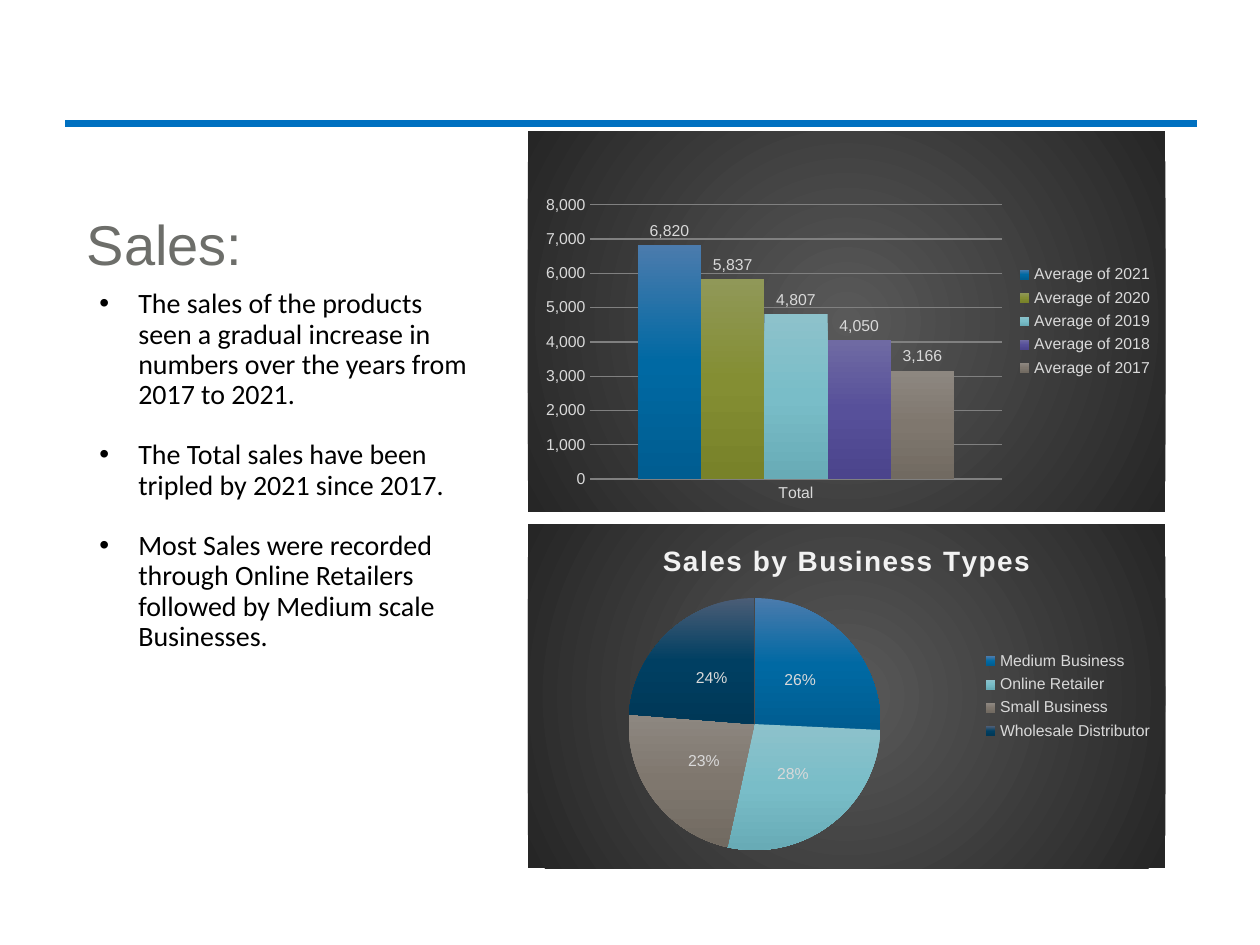
from lxml import etree
from pptx import Presentation
from pptx.chart.data import CategoryChartData
from pptx.dml.color import RGBColor
from pptx.enum.chart import XL_CHART_TYPE as ChartType
from pptx.enum.chart import XL_LABEL_POSITION as LabelPosition
from pptx.enum.chart import XL_LEGEND_POSITION as LegendPosition
from pptx.enum.chart import XL_TICK_MARK as TickMark
from pptx.enum.shapes import MSO_CONNECTOR as Connector
from pptx.enum.text import MSO_ANCHOR as Anchor
from pptx.oxml import parse_xml
from pptx.oxml.ns import nsdecls, qn
from pptx.util import Inches, Pt

RULE_BLUE = RGBColor(0x00, 0x70, 0xC0)
TITLE_GRAY = RGBColor(0x6D, 0x6E, 0x6A)
BLACK = RGBColor(0x00, 0x00, 0x00)
LABEL_GRAY = RGBColor(0xD9, 0xD9, 0xD9)
GRID_GRAY = RGBColor(0x80, 0x80, 0x80)
CHART_TITLE = RGBColor(0xF2, 0xF2, 0xF2)


def shades(*codes):
    return [RGBColor.from_string(code) for code in codes]


PANEL = shades("595959", "262626")
BLUE = shades("4B7BAD", "0069A3", "005D91")
OLIVE = shades("909858", "848E33", "788229")
TEAL = shades("8DC2CB", "79BDC8", "68ABB6")
PURPLE = shades("6F6AA3", "57509A", "4B448C")
TAUPE = shades("8D8780", "7F776E", "716A61")
NAVY = shades("4B5D76", "003F62", "003857")

YEARS = [
    ("Average of 2021", 6820, BLUE),
    ("Average of 2020", 5837, OLIVE),
    ("Average of 2019", 4807, TEAL),
    ("Average of 2018", 4050, PURPLE),
    ("Average of 2017", 3166, TAUPE),
]
BUSINESS_TYPES = [
    ("Medium Business", 26, BLUE),
    ("Online Retailer", 28, TEAL),
    ("Small Business", 23, TAUPE),
    ("Wholesale Distributor", 24, NAVY),
]
FINDINGS = [
    "The sales of the products seen a gradual increase in numbers over the years from 2017 to 2021.",
    "The Total sales have been tripled by 2021 since 2017.",
    "Most Sales were recorded through Online Retailers followed by Medium scale Businesses.",
]


def gradient(colors, radial=False):
    """Return a gradFill with evenly spaced stops, running downwards or out from the centre."""
    step = 100000 // (len(colors) - 1)
    stops = "".join(
        f'<a:gs pos="{index * step}"><a:srgbClr val="{color}"/></a:gs>'
        for index, color in enumerate(colors)
    )
    direction = '<a:lin ang="5400000" scaled="0"/>'
    if radial:
        direction = ('<a:path path="circle"><a:fillToRect l="50000" t="50000" '
                     'r="50000" b="50000"/></a:path>')
    return parse_xml(f'<a:gradFill {nsdecls("a")} rotWithShape="1">'
                     f'<a:gsLst>{stops}</a:gsLst>{direction}</a:gradFill>')


def fill_gradient(chart_format, colors):
    chart_format.fill.background()
    properties = chart_format.fill._xPr
    properties.replace(properties.find(qn("a:noFill")), gradient(colors))


def style_font(font, size, color, name="Arial"):
    font.size, font.name = Pt(size), name
    font.color.rgb = color


def place_plot(chart, left, top, width, height):
    """Fix the inner plot area, in fractions of the chart."""
    plot_area = chart._chartSpace.chart.plotArea
    for layout in plot_area.findall(qn("c:layout")):
        plot_area.remove(layout)
    plot_area.insert(0, parse_xml(
        f'<c:layout {nsdecls("c")}><c:manualLayout><c:layoutTarget val="inner"/>'
        '<c:xMode val="edge"/><c:yMode val="edge"/>'
        f'<c:x val="{left}"/><c:y val="{top}"/><c:w val="{width}"/><c:h val="{height}"/>'
        '</c:manualLayout></c:layout>'))


def add_dark_chart(page, box, kind, data):
    chart = page.shapes.add_chart(kind, *box, data).chart
    style_font(chart.font, 10, BLACK)
    panel = parse_xml(f'<c:spPr {nsdecls("c", "a")}><a:ln><a:noFill/></a:ln></c:spPr>')
    panel.insert(0, gradient(PANEL, radial=True))
    chart._chartSpace.chart.addnext(panel)
    chart.has_title = False
    chart.has_legend = True
    chart.legend.position = LegendPosition.RIGHT
    chart.legend.include_in_layout = False
    style_font(chart.legend.font, 9, LABEL_GRAY)
    plot = chart.plots[0]
    plot.has_data_labels = True
    style_font(plot.data_labels.font, 9, LABEL_GRAY)
    return chart


def add_yearly_columns(page, box):
    data = CategoryChartData(number_format="#,##0")
    data.categories = ["Total"]
    for name, value, _ in YEARS:
        data.add_series(name, [value])
    chart = add_dark_chart(page, box, ChartType.COLUMN_CLUSTERED, data)
    place_plot(chart, 0.098, 0.194, 0.645, 0.721)

    plot = chart.plots[0]
    plot.vary_by_categories = False
    plot.gap_width, plot.overlap = 150, 0
    labels = plot.data_labels
    labels.show_value = True
    labels.position = LabelPosition.OUTSIDE_END
    labels.number_format, labels.number_format_is_linked = "#,##0", False
    for series, (_, _, colors) in zip(plot.series, YEARS):
        fill_gradient(series.format, colors)

    for axis in (chart.category_axis, chart.value_axis):
        axis.major_tick_mark = axis.minor_tick_mark = TickMark.NONE
        axis.format.line.fill.background()
        style_font(axis.tick_labels.font, 9, LABEL_GRAY)
    values = chart.value_axis
    values.minimum_scale, values.maximum_scale, values.major_unit = 0, 8000, 1000
    values.tick_labels.number_format = "#,##0"
    values.tick_labels.number_format_is_linked = False
    grid = values.major_gridlines.format.line
    grid.color.rgb, grid.width = GRID_GRAY, Pt(0.75)


def add_business_pie(page, box):
    data = CategoryChartData()
    data.categories = [name for name, _, _ in BUSINESS_TYPES]
    data.add_series("Series 1", [value for _, value, _ in BUSINESS_TYPES])
    chart = add_dark_chart(page, box, ChartType.PIE, data)
    place_plot(chart, 0.157, 0.215, 0.397, 0.733)

    chart.has_title = True
    para = chart.chart_title.text_frame.paragraphs[0]
    para.text = "Sales by Business Types"
    span = para.runs[0]
    style_font(span.font, 16, CHART_TITLE)
    span.font.bold = True
    span._r.get_or_add_rPr().set("spc", "100")
    chart.chart_title.include_in_layout = False

    plot = chart.plots[0]
    labels = plot.data_labels
    labels.show_percentage, labels.show_value = True, False
    labels.number_format, labels.number_format_is_linked = "0%", False
    labels.position = LabelPosition.CENTER
    for index, (_, _, colors) in enumerate(BUSINESS_TYPES):
        fill_gradient(plot.series[0].points[index].format, colors)


def add_heading(page, box):
    frame = page.shapes.add_textbox(*box).text_frame
    frame.word_wrap = True
    frame.vertical_anchor = Anchor.BOTTOM
    frame.margin_left = frame.margin_right = 0
    para = frame.paragraphs[0]
    para.text = "Sales:"
    para.line_spacing = 0.9
    style_font(para.runs[0].font, 32, TITLE_GRAY)


def add_findings(page, box):
    frame = page.shapes.add_textbox(*box).text_frame
    frame.word_wrap = True
    frame.text = "\n".join(FINDINGS)
    for para in frame.paragraphs:
        para.line_spacing, para.space_after = 0.9, Pt(17.3)
        style_font(para.runs[0].font, 16, BLACK, "Calibri")
        properties = para._p.get_or_add_pPr()
        properties.set("marL", str(Inches(0.31)))
        properties.set("indent", str(Inches(-0.31)))
        etree.SubElement(properties, qn("a:buFont")).set("typeface", "Arial")
        etree.SubElement(properties, qn("a:buChar")).set("char", "•")


def add_rule(page, left, right, top):
    rule = page.shapes.add_connector(Connector.STRAIGHT, left, top, right, top)
    rule.line.color.rgb, rule.line.width = RULE_BLUE, Pt(4.5)
    etree.SubElement(rule._element.spPr, qn("a:effectLst"))


def main():
    deck = Presentation()
    deck.slide_width, deck.slide_height = Inches(10), Inches(7.5)
    page = deck.slides.add_slide(deck.slide_layouts[6])
    text_left, text_width = Inches(0.69), Inches(3.23)
    chart_left, chart_width = Inches(4.19), Inches(5.06)
    add_rule(page, Inches(0.52), Inches(9.5), Inches(0.98))
    add_heading(page, (text_left, Inches(0.5), text_width, Inches(1.75)))
    add_findings(page, (text_left, Inches(2.25), text_width, Inches(4.17)))
    add_yearly_columns(page, (chart_left, Inches(1.04), chart_width, Inches(3.02)))
    add_business_pie(page, (chart_left, Inches(4.16), chart_width, Inches(2.73)))
    deck.save("out.pptx")


if __name__ == "__main__":
    main()
